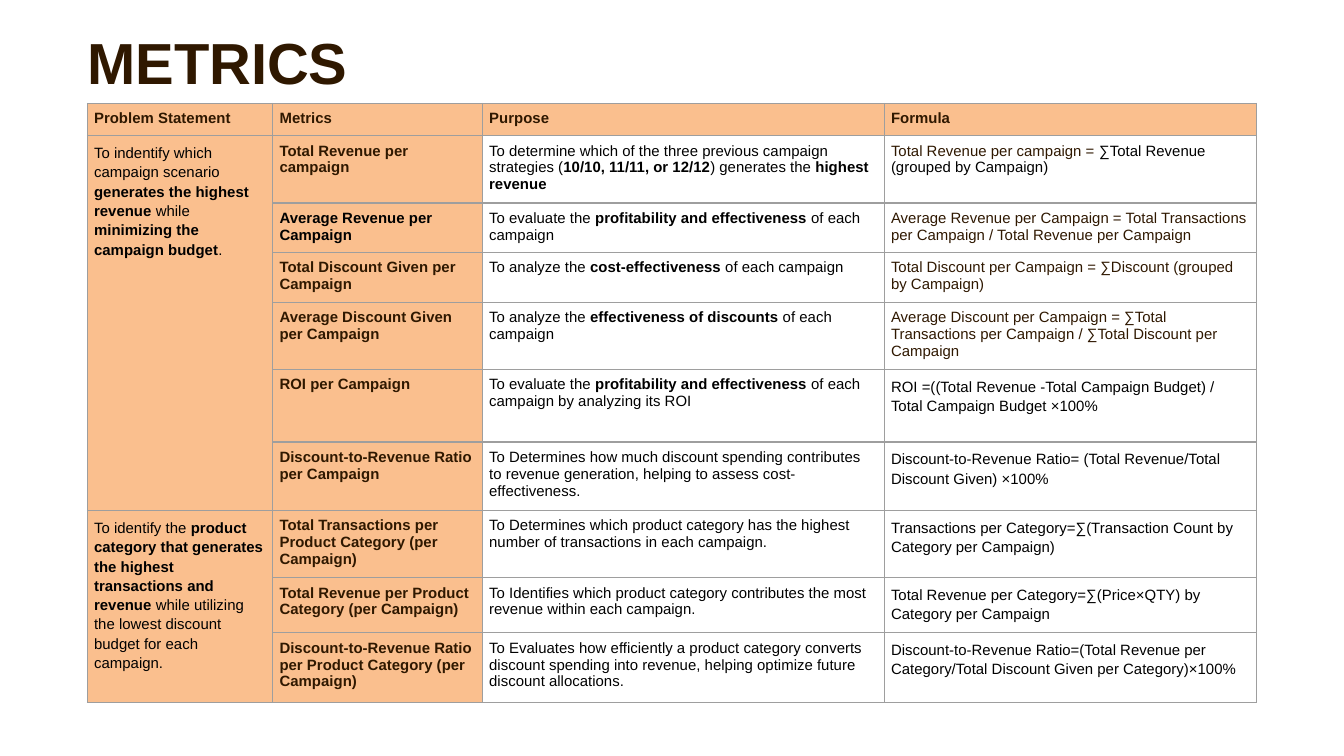
from lxml import etree
from pptx import Presentation
from pptx.dml.color import RGBColor
from pptx.enum import text
from pptx.oxml import ns
from pptx.util import Inches, Pt

BROWN, BLACK, PEACH, WHITE, GREY = "2F1800", "000000", "FABF8E", "FFFFFF", "9E9E9E"
COLUMN_WIDTHS = [1.38, 1.56, 2.99, 2.77]
ROW_HEIGHTS = [0.24, 0.5, 0.37, 0.37, 0.5, 0.54, 0.51, 0.5, 0.41, 0.52]
HEADERS = ["Problem Statement", "Metrics", "Purpose", "Formula"]

# In the texts, **...** is bold and ^...^ is brown.
# Problem statements: first row, last row, text
PROBLEMS = [
    (1, 6, "To indentify which campaign scenario **generates the highest revenue** while "
           "**minimizing the campaign budget**."),
    (7, 9, "To identify the **product category that generates the highest transactions "
           "and revenue** while utilizing the lowest discount budget for each campaign."),
]

# Metric, purpose, formula, line spacing of the formula
METRICS = [
    ("^Total Revenue per campaign^",
     "To determine which of the three previous campaign strategies "
     "(**10/10, 11/11, or 12/12**) generates the **highest revenue**",
     "^Total Revenue per campaign = ^∑Total Revenue (grouped by Campaign)", 1),
    ("Average Revenue per Campaign",
     "To evaluate the **profitability and effectiveness** of each campaign",
     "^Average Revenue per Campaign = Total Transactions per Campaign / "
     "Total Revenue per Campaign^", 1),
    ("^Total Discount Given per Campaign^",
     "To analyze the **cost-effectiveness** of each campaign",
     "^Total Discount per Campaign = ∑Discount (grouped by Campaign)^", 1),
    ("^Average Discount Given per Campaign^",
     "To analyze the **effectiveness of discounts** of each campaign",
     "^Average Discount per Campaign = ∑Total Transactions per Campaign / "
     "∑Total Discount per Campaign^", 1),
    ("^ROI per Campaign^",
     "To evaluate the **profitability and effectiveness** of each campaign "
     "by analyzing its ROI",
     "ROI =((Total Revenue -Total Campaign Budget) / Total Campaign Budget ×100%", 1.15),
    ("^Discount-to-Revenue Ratio per Campaign^",
     "To Determines how much discount spending contributes to revenue generation, "
     "helping to assess cost-effectiveness.",
     "Discount-to-Revenue Ratio= (Total Revenue/Total Discount Given) ×100%", 1.15),
    ("^Total Transactions per Product Category (per Campaign)^",
     "To Determines which product category has the highest number of transactions "
     "in each campaign.",
     "Transactions per Category=∑(Transaction Count by Category per Campaign)", 1.15),
    ("^Total Revenue per Product Category (per Campaign)^",
     "To Identifies which product category contributes the most revenue "
     "within each campaign.",
     "Total Revenue per Category=∑(Price×QTY) by Category per Campaign", 1.15),
    ("^Discount-to-Revenue Ratio per Product Category (per Campaign)^",
     "To Evaluates how efficiently a product category converts discount spending "
     "into revenue, helping optimize future discount allocations.",
     "Discount-to-Revenue Ratio=(Total Revenue per Category/"
     "Total Discount Given per Category)×100%", 1.15),
]


def color(value):
    return RGBColor.from_string(value)


def set_all(target, values):
    for name, value in values.items():
        setattr(target, name, value)


def add_run(paragraph, words, size, bold, ink):
    run = paragraph.add_run()
    run.text = words
    set_all(run.font, {"name": "Arial", "size": Pt(size), "bold": bold})
    run.font.color.rgb = color(ink)


def add_borders(cell):
    properties = cell._tc.get_or_add_tcPr()
    for position, side in enumerate(("lnL", "lnR", "lnT", "lnB")):
        line = etree.Element(ns.qn(f"a:{side}"), w=str(Pt(0.75)))
        fill = etree.SubElement(line, ns.qn("a:solidFill"))
        etree.SubElement(fill, ns.qn("a:srgbClr"), val=GREY)
        properties.insert(position, line)


def fill_cell(cell, words, fill=None, spacing=1):
    set_all(cell, {"margin_left": Inches(0.05), "margin_right": Inches(0.06),
                   "margin_top": Inches(0.05), "margin_bottom": Inches(0.05),
                   "vertical_anchor": text.MSO_ANCHOR.TOP})
    if fill:
        cell.fill.solid()
        cell.fill.fore_color.rgb = color(fill)
    else:
        cell.fill.background()
    paragraph = cell.text_frame.paragraphs[0]
    paragraph.line_spacing = spacing
    for bold_index, part in enumerate(words.split("**")):
        for brown_index, piece in enumerate(part.split("^")):
            if piece:
                ink = BROWN if brown_index % 2 else BLACK
                add_run(paragraph, piece, 8, bold_index % 2 == 1, ink)


def add_title(slide, words):
    title = slide.shapes.title
    set_all(title, {"left": Inches(0.65), "top": Inches(0.2),
                    "width": Inches(4.7), "height": Inches(0.52)})
    frame = title.text_frame
    set_all(frame, {"margin_left": 0, "margin_right": 0, "margin_top": 0,
                    "margin_bottom": 0, "word_wrap": True,
                    "auto_size": text.MSO_AUTO_SIZE.NONE,
                    "vertical_anchor": text.MSO_ANCHOR.TOP})
    paragraph = frame.paragraphs[0]
    paragraph.alignment = text.PP_ALIGN.LEFT
    add_run(paragraph, words, 31, True, BROWN)


def add_metrics_table(slide):
    table = slide.shapes.add_table(
        len(ROW_HEIGHTS), len(COLUMN_WIDTHS), Inches(0.65), Inches(0.77),
        Inches(sum(COLUMN_WIDTHS)), Inches(sum(ROW_HEIGHTS))).table
    table.horz_banding = False
    for column, width in zip(table.columns, COLUMN_WIDTHS):
        column.width = Inches(width)
    for row, height in zip(table.rows, ROW_HEIGHTS):
        row.height = Inches(height)

    # Header row
    for index, header in enumerate(HEADERS):
        fill_cell(table.cell(0, index), f"**^{header}^**", PEACH)

    # Merged problem statements
    for first, last, problem in PROBLEMS:
        table.cell(first, 0).merge(table.cell(last, 0))
        fill_cell(table.cell(first, 0), problem, PEACH, 1.15)

    # One row per metric
    for index, (metric, purpose, formula, spacing) in enumerate(METRICS, start=1):
        fill_cell(table.cell(index, 1), f"**{metric}**", PEACH)
        fill_cell(table.cell(index, 2), purpose)
        fill_cell(table.cell(index, 3), formula, spacing=spacing)

    for cell in table.iter_cells():
        add_borders(cell)


def main():
    presentation = Presentation()
    presentation.slide_width = Inches(10)
    presentation.slide_height = Inches(10 * 9 / 16)  # widescreen
    presentation_layout = presentation.slide_layouts[5]
    slide = presentation.slides.add_slide(presentation_layout)
    slide.background.fill.solid()
    slide.background.fill.fore_color.rgb = color(WHITE)
    add_title(slide, "METRICS")
    add_metrics_table(slide)
    presentation.save("out.pptx")


if __name__ == "__main__":
    main()
